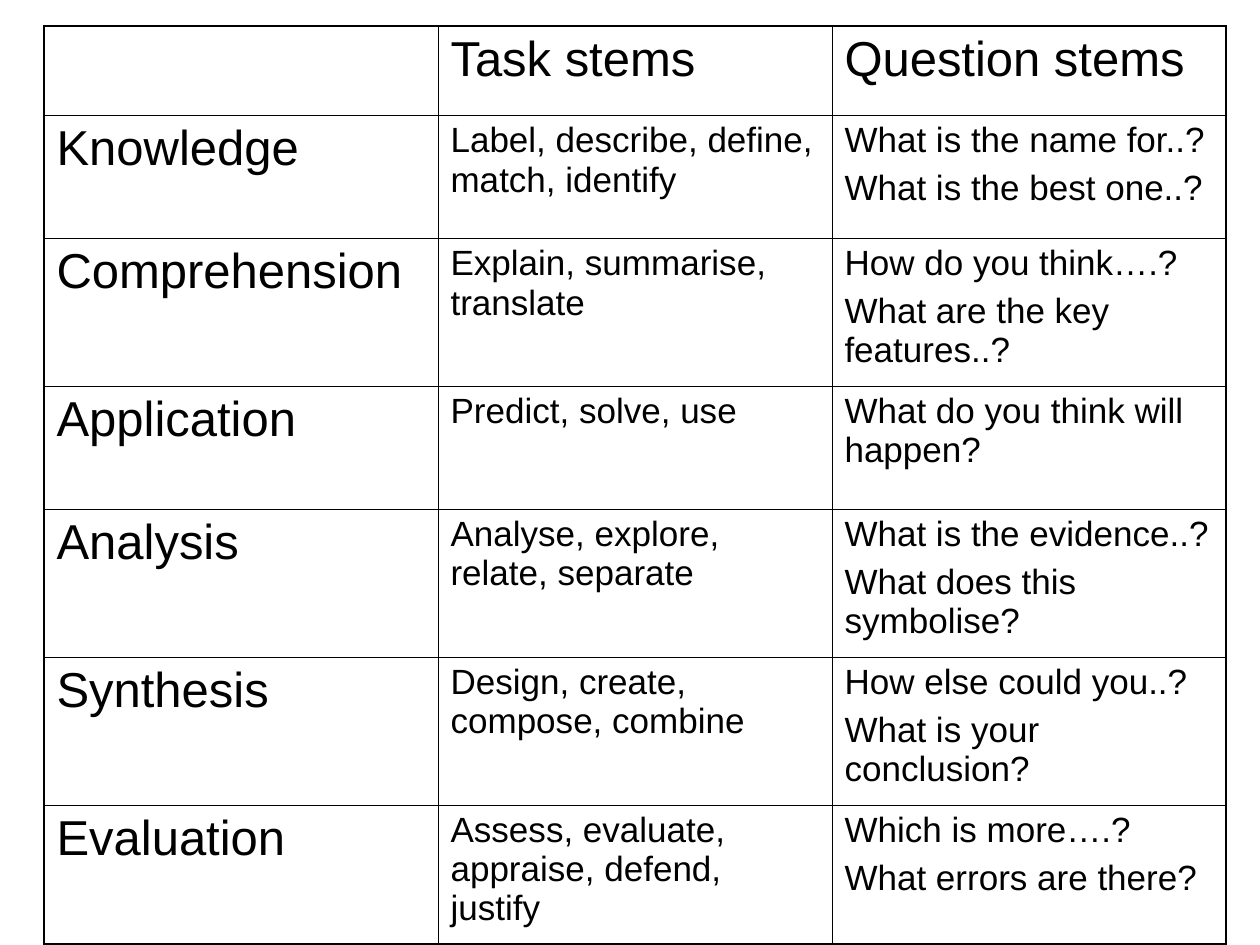
from lxml import etree
from pptx import Presentation
from pptx.dml.color import RGBColor
from pptx.oxml.ns import qn
from pptx.util import Emu, Pt

PX = 914400 // 126
BLANK_LAYOUT = 6
FONT = "Arial"
BLACK = "000000"
HEADING_SIZE, BODY_SIZE = 28, 20
PARAGRAPH_GAP = 5
THIN, THICK = 0.45, 1.08

COLUMN_WIDTH = 394
ROW_HEIGHTS = [89, 123, 148, 123, 148, 148, 139]

# One row per level: name, task stems, question stems (one paragraph per line)
ROWS = [
    ("", "Task stems", "Question stems"),
    ("Knowledge", "Label, describe, define, match, identify",
     "What is the name for..?\nWhat is the best one..?"),
    ("Comprehension", "Explain, summarise, translate",
     "How do you think….?\nWhat are the key features..?"),
    ("Application", "Predict, solve, use", "What do you think will happen?"),
    ("Analysis", "Analyse, explore, relate, separate",
     "What is the evidence..?\nWhat does this symbolise?"),
    ("Synthesis", "Design, create, compose, combine",
     "How else could you..?\nWhat is your conclusion?"),
    ("Evaluation", "Assess, evaluate, appraise, defend, justify",
     "Which is more….?\nWhat errors are there?"),
]


def px(length):
    return Emu(length * PX)


def color(hex_string):
    return RGBColor.from_string(hex_string)


def set_borders(cell, widths):
    """Draw the cell's left, right, top and bottom lines ahead of its fill."""
    properties = cell._tc.get_or_add_tcPr()
    for index, (side, width) in enumerate(zip("LRTB", widths)):
        line = etree.Element(qn(f"a:ln{side}"), w=str(Pt(width)))
        fill = etree.SubElement(line, qn("a:solidFill"))
        etree.SubElement(fill, qn("a:srgbClr"), val=BLACK)
        properties.insert(index, line)


def fill_cell(cell, text, size):
    cell.fill.background()
    cell.margin_left = cell.margin_right = Pt(7.2)
    cell.margin_top = cell.margin_bottom = Pt(3.6)
    cell.text = text
    for index, paragraph in enumerate(cell.text_frame.paragraphs):
        paragraph.space_before = Pt(PARAGRAPH_GAP if index else 0)
        paragraph.font.name = FONT
        paragraph.font.size = Pt(size)
        paragraph.font.color.rgb = color(BLACK)


def add_stems_table(slide, left, top):
    row_count, column_count = len(ROWS), len(ROWS[0])
    frame = slide.shapes.add_table(
        row_count, column_count, px(left), px(top),
        px(COLUMN_WIDTH * column_count), px(sum(ROW_HEIGHTS)))
    table = frame.table
    table.first_row = table.horz_banding = False

    for column in table.columns:
        column.width = px(COLUMN_WIDTH)
    for row, height in zip(table.rows, ROW_HEIGHTS):
        row.height = px(height)

    for row_index, row_texts in enumerate(ROWS):
        for column_index, text in enumerate(row_texts):
            cell = table.cell(row_index, column_index)
            is_heading = row_index == 0 or column_index == 0
            fill_cell(cell, text, HEADING_SIZE if is_heading else BODY_SIZE)
            # Outer edges are thick, inner lines thin
            outer_edges = (column_index == 0, column_index == column_count - 1,
                           row_index == 0, row_index == row_count - 1)
            set_borders(cell, [THICK if edge else THIN for edge in outer_edges])


def main():
    presentation = Presentation()
    presentation.slide_width = px(1260)
    presentation.slide_height = px(945)
    slide = presentation.slides.add_slide(presentation.slide_layouts[BLANK_LAYOUT])
    add_stems_table(slide, 44, 26)
    presentation.save("out.pptx")


if __name__ == "__main__":
    main()
